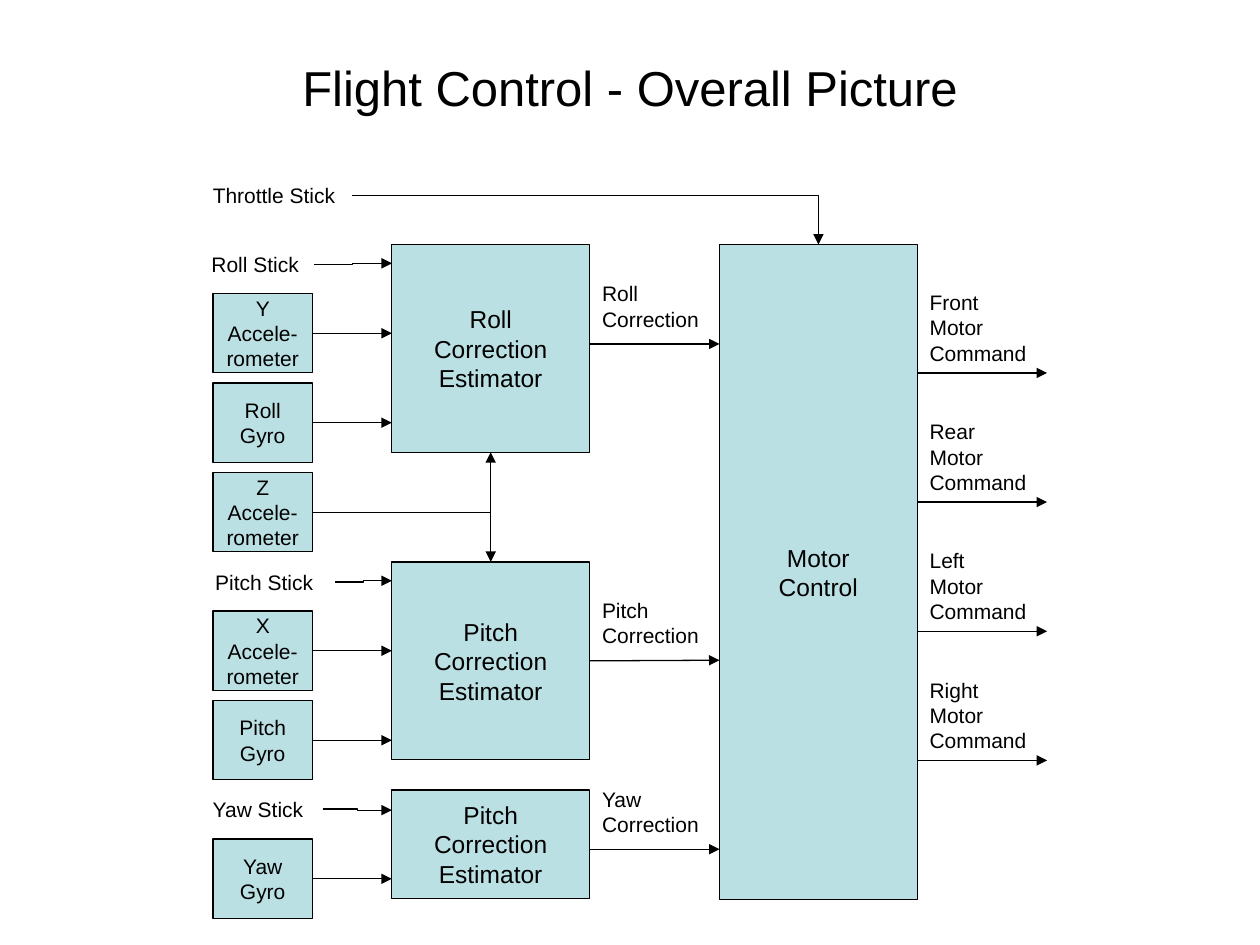
"""Build the flight control block diagram slide."""
from lxml import etree
from pptx import Presentation
from pptx.dml.color import RGBColor
from pptx.enum.shapes import MSO_CONNECTOR, MSO_SHAPE
from pptx.enum.text import MSO_ANCHOR, MSO_AUTO_SIZE, PP_ALIGN
from pptx.oxml.ns import qn
from pptx.util import Inches, Pt

RECTANGLE = MSO_SHAPE.RECTANGLE
STRAIGHT, ELBOW = MSO_CONNECTOR.STRAIGHT, MSO_CONNECTOR.ELBOW
LEFT, CENTER = PP_ALIGN.LEFT, PP_ALIGN.CENTER
TOP, MIDDLE = MSO_ANCHOR.TOP, MSO_ANCHOR.MIDDLE
GROW = MSO_AUTO_SIZE.SHAPE_TO_FIT_TEXT
TOP_SIDE, LEFT_SIDE, BOTTOM_SIDE, RIGHT_SIDE = range(4)

COLORS = {"block": "BBE0E3", "ink": "000000"}
FONT = "Arial"

SENSOR_X, SENSOR_W, SENSOR_H = 1.69, 0.79, 0.63
SENSOR_RIGHT = SENSOR_X + SENSOR_W
ESTIMATOR_X, BLOCK_W = 3.11, 1.57
ESTIMATOR_RIGHT = ESTIMATOR_X + BLOCK_W
MOTOR_X, MOTOR_Y, MOTOR_H = 5.71, 1.94, 5.2
MOTOR_RIGHT = MOTOR_X + BLOCK_W
ARROW_LENGTH = 1.03
COMMAND_STEP = 1.025

CHANNELS = [
    {"axis": "Roll", "estimator": "Roll", "top": 1.94, "height": 1.65, "output_y": 2.73,
     "stick": (1.58, 1.95, 0.91), "stick_y": (2.1, 2.09),
     "sensors": [("Y\vAccele-\vrometer", 2.33), ("Roll\vGyro", 3.04)]},
    {"axis": "Pitch", "estimator": "Pitch", "top": 4.46, "height": 1.57, "output_y": 5.24,
     "stick": (1.61, 4.47, 1.05), "stick_y": (4.62, 4.61),
     "sensors": [("X\vAccele-\vrometer", 4.85), ("Pitch\vGyro", 5.56)]},
    {"axis": "Yaw", "estimator": "Pitch", "top": 6.27, "height": 0.86, "output_y": 6.74,
     "stick": (1.59, 6.27, 0.97), "stick_y": (6.42, 6.43),
     "sensors": [("Yaw\vGyro", 6.66)]},
]


def write(frame, text, *, size=12, align=LEFT, anchor=TOP, wrap=True):
    """Fill a text frame and format all its paragraphs."""
    frame.text = text
    frame.word_wrap = wrap
    frame.vertical_anchor = anchor
    for paragraph in frame.paragraphs:
        paragraph.alignment = align
        paragraph.font.size = Pt(size)
        paragraph.font.name = FONT
        paragraph.font.color.rgb = RGBColor.from_string(COLORS["ink"])


class Diagram:
    """Hold the slide and draw the diagram's elements in one style."""

    def __init__(self, slide):
        self.slide = slide
        self.shapes = slide.shapes

    def title(self, text):
        """Place the title in the upper part of its placeholder."""
        heading = self.shapes.title
        heading.left, heading.top = Inches(0.5), Inches(0.3)
        heading.width, heading.height = Inches(9), Inches(1.25)
        write(heading.text_frame, text, size=28, align=CENTER, anchor=MIDDLE)
        heading.text_frame.margin_bottom = Inches(0.52)

    def block(self, text, x, y, width, height, size=14):
        """Draw a filled block with centred text."""
        block = self.shapes.add_shape(RECTANGLE, Inches(x), Inches(y), Inches(width), Inches(height))
        block.shadow.inherit = False
        block.fill.solid()
        block.fill.fore_color.rgb = RGBColor.from_string(COLORS["block"])
        block.line.color.rgb = RGBColor.from_string(COLORS["ink"])
        block.line.width = Pt(0.75)
        write(block.text_frame, text, size=size, align=CENTER, anchor=MIDDLE, wrap=False)
        return block

    def sensor(self, text, y):
        """Draw a sensor block in the left column."""
        return self.block(text, SENSOR_X, y, SENSOR_W, SENSOR_H, size=12)

    def label(self, text, x, y, width, height=0.3):
        """Write a signal name without wrapping its lines."""
        label = self.shapes.add_textbox(Inches(x), Inches(y), Inches(width), Inches(height))
        write(label.text_frame, text, wrap=False)
        label.text_frame.auto_size = GROW

    def arrow(self, start, end, kind=STRAIGHT, corner=False, source=None, target=None):
        """Draw an arrow; source and target are (block, side) pairs."""
        arrow = self.shapes.add_connector(kind, *map(Inches, (*start, *end)))
        if source:
            arrow.begin_connect(*source)
        if target:
            arrow.end_connect(*target)
        arrow.line.color.rgb = RGBColor.from_string(COLORS["ink"])
        arrow.line.width = Pt(0.75)
        properties = arrow._element.spPr
        if corner:
            properties.find(qn("a:prstGeom")).set("prst", "bentConnector2")
        etree.SubElement(properties.find(qn("a:ln")), qn("a:tailEnd"), type="triangle")
        etree.SubElement(properties, qn("a:effectLst"))


def main():
    """Draw the whole slide and save it."""
    deck = Presentation()
    deck.slide_width, deck.slide_height = Inches(10), Inches(7.5)
    diagram = Diagram(deck.slides.add_slide(deck.slide_layouts[5]))
    diagram.title("Flight Control - Overall Picture")

    motor = diagram.block("Motor\nControl", MOTOR_X, MOTOR_Y, BLOCK_W, MOTOR_H)
    diagram.label("Throttle Stick", 1.59, 1.4, 1.21)
    diagram.arrow((2.79, 1.55), (MOTOR_X + BLOCK_W / 2, MOTOR_Y), ELBOW, corner=True,
                  target=(motor, TOP_SIDE))

    estimators = {}
    for channel in CHANNELS:
        axis, output_y = channel["axis"], channel["output_y"]
        estimator = diagram.block(f"{channel['estimator']}\nCorrection\nEstimator",
                                  ESTIMATOR_X, channel["top"], BLOCK_W, channel["height"])
        estimators[axis] = estimator

        stick_x, stick_top, stick_w = channel["stick"]
        stick_start_y, stick_end_y = channel["stick_y"]
        diagram.label(f"{axis} Stick", stick_x, stick_top, stick_w)
        diagram.arrow((stick_x + stick_w, stick_start_y), (ESTIMATOR_X, stick_end_y), ELBOW)

        for name, y in channel["sensors"]:
            sensor = diagram.sensor(name, y)
            middle = y + SENSOR_H / 2
            diagram.arrow((SENSOR_RIGHT, middle), (ESTIMATOR_X, middle),
                          source=(sensor, RIGHT_SIDE))

        diagram.label(f"{axis}\nCorrection", ESTIMATOR_RIGHT, output_y - 0.55, 0.97, 0.5)
        at_middle = abs(channel["top"] + channel["height"] / 2 - output_y) < 0.01
        diagram.arrow((ESTIMATOR_RIGHT, output_y), (MOTOR_X, output_y),
                      source=(estimator, RIGHT_SIDE) if at_middle else None)

    z_sensor = diagram.sensor("Z\vAccele-\vrometer", 3.75)
    for axis, side, y in (("Roll", BOTTOM_SIDE, 3.59), ("Pitch", TOP_SIDE, 4.46)):
        diagram.arrow((SENSOR_RIGHT, 4.07), (ESTIMATOR_X + BLOCK_W / 2, y), ELBOW, corner=True,
                      source=(z_sensor, RIGHT_SIDE), target=(estimators[axis], side))

    for row, position in enumerate(("Front", "Rear", "Left", "Right")):
        y = 2.96 + row * COMMAND_STEP
        diagram.label(f"{position}\nMotor\nCommand", MOTOR_RIGHT, y - 0.71, 0.97, 0.7)
        diagram.arrow((MOTOR_RIGHT, y), (MOTOR_RIGHT + ARROW_LENGTH, y))

    deck.save("out.pptx")


if __name__ == "__main__":
    main()
